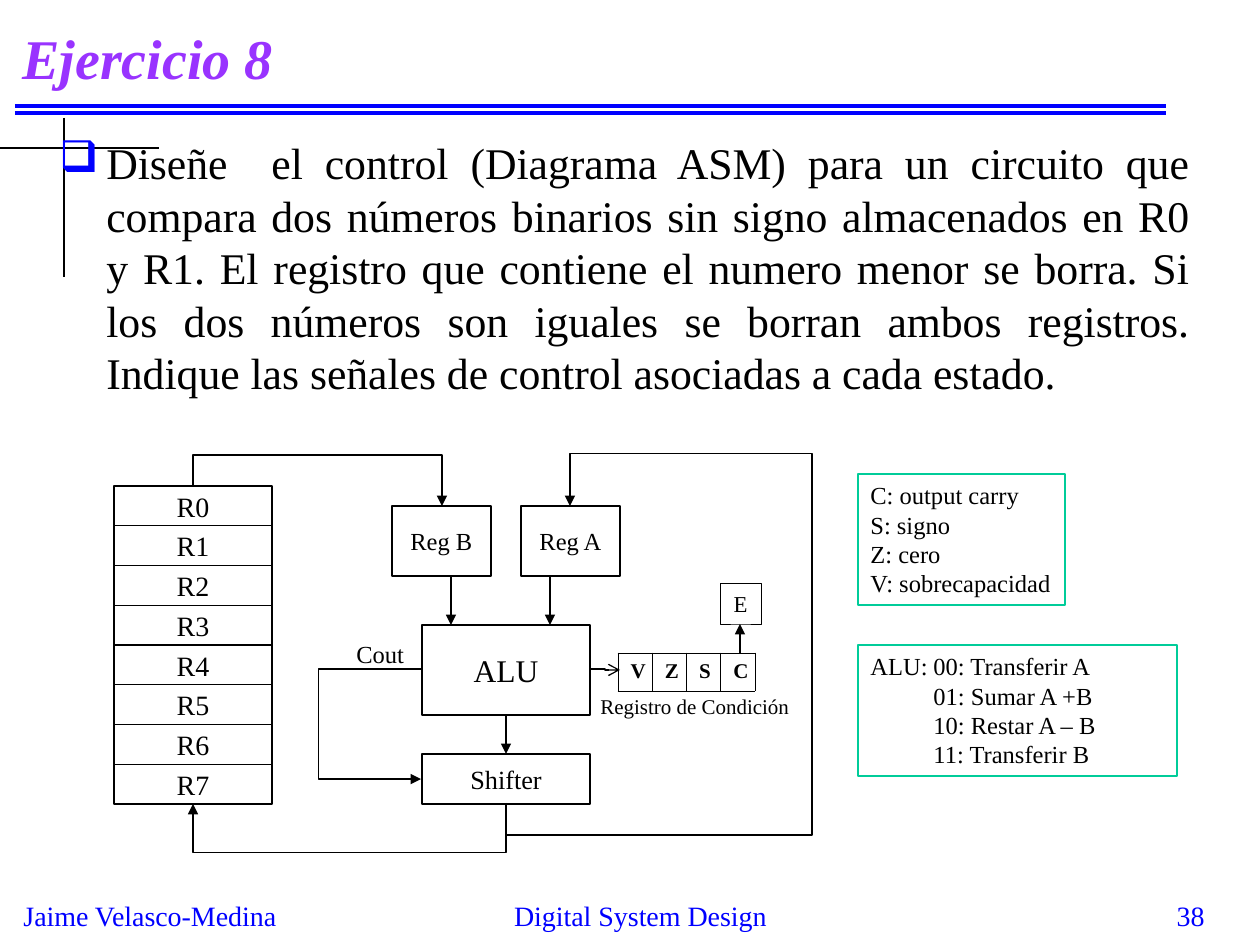
from dataclasses import dataclass

import pptx
import pptx.dml.color
import pptx.enum.shapes
import pptx.enum.text
import pptx.oxml
import pptx.oxml.ns
import pptx.util

ALIGN = pptx.enum.text.PP_ALIGN
ANCHOR = pptx.enum.text.MSO_ANCHOR
FIT = pptx.enum.text.MSO_AUTO_SIZE
RECTANGLE = pptx.enum.shapes.MSO_SHAPE.RECTANGLE
CONNECTOR = pptx.enum.shapes.MSO_CONNECTOR
qn = pptx.oxml.ns.qn
NS = pptx.oxml.ns.nsdecls("a")
PX = 914400 / 126


@dataclass(frozen=True)
class Theme:
    font: str = "Times New Roman"
    ink: str = "000000"
    blue: str = "0000FF"
    purple: str = "9933FF"
    green: str = "00CC99"
    white: str = "FFFFFF"
    title: int = 32
    body: int = 25
    alu: int = 18
    footer: int = 16
    register: int = 16
    shifter: int = 15
    label: int = 14
    enable: int = 13
    small: int = 12
    thin: float = 0.75


theme = Theme()
rgb = pptx.dml.color.RGBColor.from_string


def write(frame, lines, size, color=theme.ink, align=ALIGN.LEFT, wrap=True,
          anchor=ANCHOR.TOP, fit=FIT.NONE):
    """Fill a text frame with one paragraph per line."""
    frame.word_wrap = wrap
    frame.auto_size = fit
    frame.vertical_anchor = anchor
    for index, line in enumerate(lines):
        para = frame.add_paragraph() if index else frame.paragraphs[0]
        para.text = line
        para.alignment = align
        para.font.name = theme.font
        para.font.size = pptx.util.Pt(size)
        para.font.color.rgb = rgb(color)


def connect(points, color=theme.ink, width=theme.thin, head=None):
    """Join the first and last point; points between are the elbow's corners."""
    (x1, y1), (x2, y2) = points[0], points[-1]
    corners = points[1:-1]
    kind = CONNECTOR.ELBOW if corners else CONNECTOR.STRAIGHT
    line = page.shapes.add_connector(
        kind, *(round(v * PX) for v in (x1, y1, x2, y2)))
    line.line.color.rgb = rgb(color)
    line.line.width = pptx.util.Pt(width)
    properties = line._element.spPr
    if head:
        properties.find(qn("a:ln")).append(
            pptx.oxml.parse_xml(f'<a:tailEnd {NS} type="{head}"/>'))
    properties.append(pptx.oxml.parse_xml(f"<a:effectLst {NS}/>"))
    if not corners:
        return
    dx, dy = x2 - x1, y2 - y1
    upright = corners[0][0] == x1
    width, height = (abs(dy), abs(dx)) if upright else (abs(dx), abs(dy))
    flips = [dy < 0, dx > 0] if upright else [dx < 0, dy < 0]
    turn = 90 if upright else 0
    if flips[0] != flips[1]:
        turn, flips = turn + 180, [not flip for flip in flips]
    line.left = round(((x1 + x2) / 2 - width / 2) * PX)
    line.top = round(((y1 + y2) / 2 - height / 2) * PX)
    line.width, line.height = round(width * PX), round(height * PX)
    frame = properties.find(qn("a:xfrm"))
    frame.set("rot", str(turn * 60000))
    frame.set("flipH", str(int(flips[0])))
    frame.set("flipV", str(int(flips[1])))
    across = lambda point: (point[0] - x1) / dx
    down = lambda point: (point[1] - y1) / dy
    measures = (down, across) if upright else (across, down)
    shape = properties.find(qn("a:prstGeom"))
    shape.set("prst", f"bentConnector{len(corners) + 1}")
    guides = shape.get_or_add_avLst()
    for index, corner in enumerate(corners[:-1]):
        value = round(measures[index % 2](corner) * 100000)
        guides.append(pptx.oxml.parse_xml(
            f'<a:gd {NS} name="adj{index + 1}" fmla="val {value}"/>'))


deck = pptx.Presentation()
deck.slide_width = round(1260 * PX)
deck.slide_height = round(945 * PX)
page = deck.slides.add_slide(deck.slide_layouts[6])

# Rules and crossed lines behind the heading
for y in (106, 113):
    connect([(15, y), (1166, y)], theme.blue, 2.25)
connect([(0, 148), (159, 148)])
connect([(64, 118), (64, 277)])

# Free text: place, line, size, colour, alignment, wrap, anchor
texts = [
    ((11, 892, 282, 47), "Jaime Velasco-Medina", theme.footer, theme.blue, ALIGN.LEFT, False, ANCHOR.TOP),
    ((420, 892, 441, 42), "Digital System Design", theme.footer, theme.blue, ALIGN.CENTER, True, ANCHOR.TOP),
    ((955, 892, 262, 32), "38", theme.footer, theme.blue, ALIGN.RIGHT, True, ANCHOR.TOP),
    ((10, 10, 1155, 95), "Ejercicio 8", theme.title, theme.purple, ALIGN.LEFT, True, ANCHOR.MIDDLE),
    ((344, 633, 73, 43), "Cout", theme.label, theme.ink, ALIGN.LEFT, False, ANCHOR.TOP),
    ((588, 687, 229, 38), "Registro de Condición", theme.small, theme.ink, ALIGN.LEFT, True, ANCHOR.TOP),
]
for place, line, size, color, align, wrap, anchor in texts:
    box = page.shapes.add_textbox(*(round(v * PX) for v in place))
    write(box.text_frame, [line], size, color, align, wrap, anchor)
    if size == theme.title:
        box.text_frame.paragraphs[0].font.bold = True
        box.text_frame.paragraphs[0].font.italic = True

# Exercise statement
box = page.shapes.add_textbox(*(round(v * PX) for v in (47, 130, 1155, 311)))
bullet = box.text_frame.paragraphs[0]._p.get_or_add_pPr()
indent = round(47 * PX)
bullet.set("marL", str(indent))
bullet.set("indent", str(-indent))
for xml in (f'<a:buClr {NS}><a:srgbClr val="{theme.blue}"/></a:buClr>',
            f'<a:buChar {NS} char="❑"/>'):
    bullet.append(pptx.oxml.parse_xml(xml))
write(box.text_frame, [
    "Diseñe  el control (Diagrama ASM) para un circuito que compara dos números "
    "binarios sin signo almacenados en R0 y R1. El registro que contiene el numero "
    "menor se borra. Si los dos números son iguales se borran ambos registros. "
    "Indique las señales de control asociadas a cada estado."],
    theme.body, align=ALIGN.JUSTIFY)

# Datapath blocks
blocks = [
    ((422, 625, 168, 90), "ALU", theme.alu),
    ((422, 754, 168, 50), "Shifter", theme.shifter),
    ((392, 506, 99, 70), "Reg B", theme.label),
    ((521, 506, 99, 70), "Reg A", theme.label),
    ((720, 583, 41, 41), "E", theme.enable),
]
register_pitch = 318 / 8
blocks += [((114, 486 + i * register_pitch, 158, register_pitch), f"R{i}", theme.register)
           for i in range(8)]
for place, name, size in blocks:
    block = page.shapes.add_shape(RECTANGLE, *(round(v * PX) for v in place))
    block.shadow.inherit = False
    block.line.color.rgb = rgb(theme.ink)
    block.line.width = pptx.util.Pt(theme.thin)
    block.fill.background()
    if name == "E":
        block.fill.solid()
        block.fill.fore_color.rgb = rgb(theme.white)
        block.line.width = pptx.util.Pt(0.25)
    write(block.text_frame, [name], size, align=ALIGN.CENTER,
          wrap=name == "E", anchor=ANCHOR.MIDDLE)

# Condition register
flags = "VZSC"
holder = page.shapes.add_table(
    1, len(flags), *(round(v * PX) for v in (618, 653, 137, 38)))
table = holder.table
table.first_row = table.horz_banding = False
for column, flag in enumerate(flags):
    cell = table.cell(0, column)
    write(cell.text_frame, [flag], theme.small, align=ALIGN.CENTER)
    cell.text_frame.paragraphs[0].font.bold = True
    edges = cell._tc.get_or_add_tcPr()
    for side in ("lnL", "lnR", "lnT", "lnB"):
        edges.append(pptx.oxml.parse_xml(
            f'<a:{side} {NS} w="5715"><a:solidFill><a:srgbClr val="{theme.ink}"/>'
            f"</a:solidFill></a:{side}>"))
    cell.fill.background()

# Signals
signals = [
    [(506, 715), (506, 754)],
    [(451, 576), (451, 625)],
    [(550, 576), (550, 625)],
    [(740, 654), (740, 624)],
    [(506, 804), (506, 835), (812, 835), (812, 454), (570, 454), (570, 506)],
    [(506, 803), (506, 853), (193, 853), (193, 804)],
    [(193, 486), (193, 455), (442, 455), (442, 506)],
    [(422, 669), (318, 669), (318, 779), (421, 779)],
]
for signal in signals:
    connect(signal, head="triangle")
connect([(590, 669), (605, 669), (605, 670), (620, 670)], head="arrow")

# Legends
legends = [
    ((858, 474, 207, 131), False,
     ["C: output carry", "S: signo", "Z: cero", "V: sobrecapacidad"]),
    ((858, 645, 319, 131), True,
     ["ALU:\t00: Transferir A", "\t01: Sumar A +B", "\t10: Restar A – B",
      "\t11: Transferir B"]),
]
for place, wrap, lines in legends:
    box = page.shapes.add_textbox(*(round(v * PX) for v in place))
    box.line.color.rgb = rgb(theme.green)
    box.line.width = pptx.util.Pt(theme.thin)
    write(box.text_frame, lines, theme.label, wrap=wrap, fit=FIT.SHAPE_TO_FIT_TEXT)

deck.save("out.pptx")
